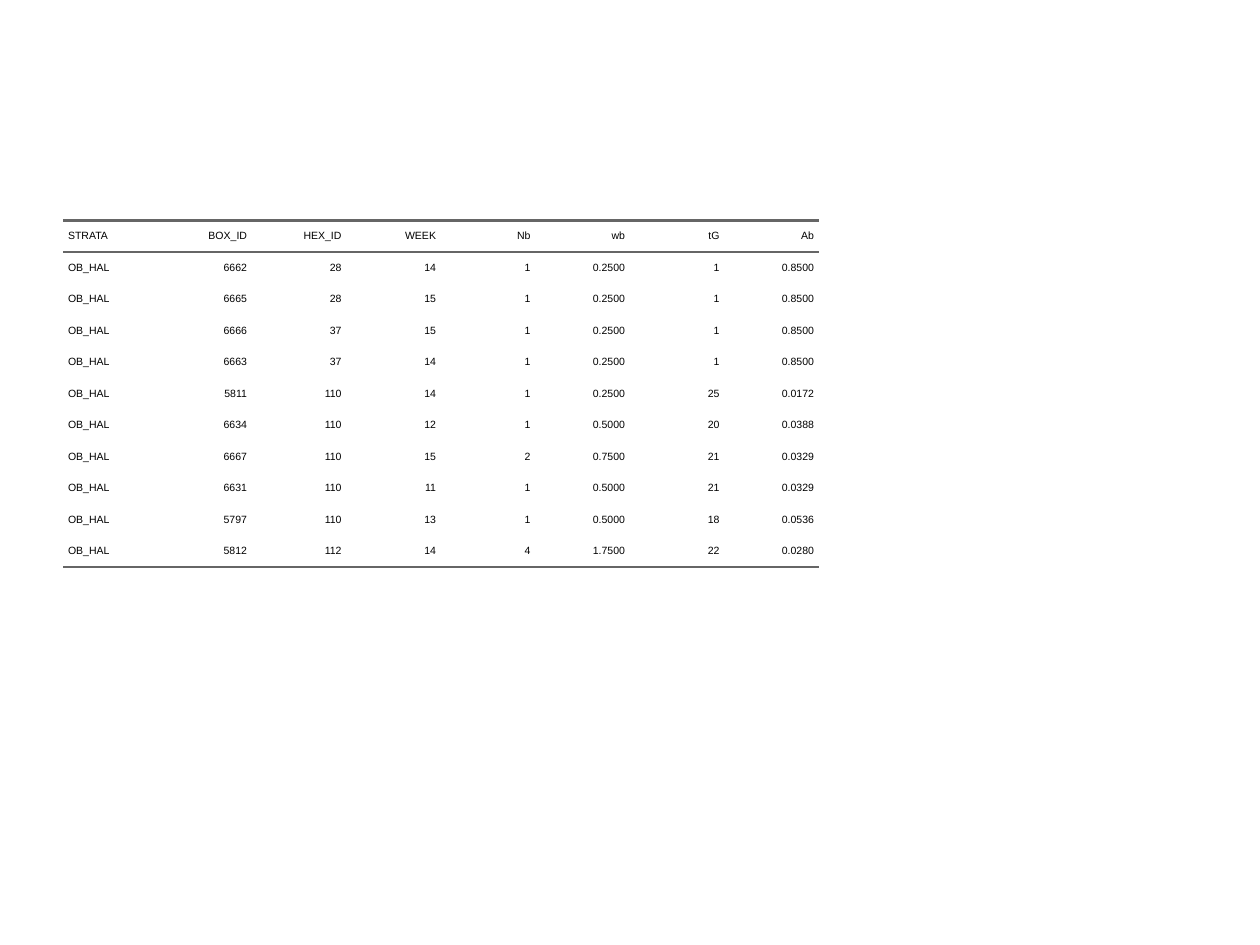
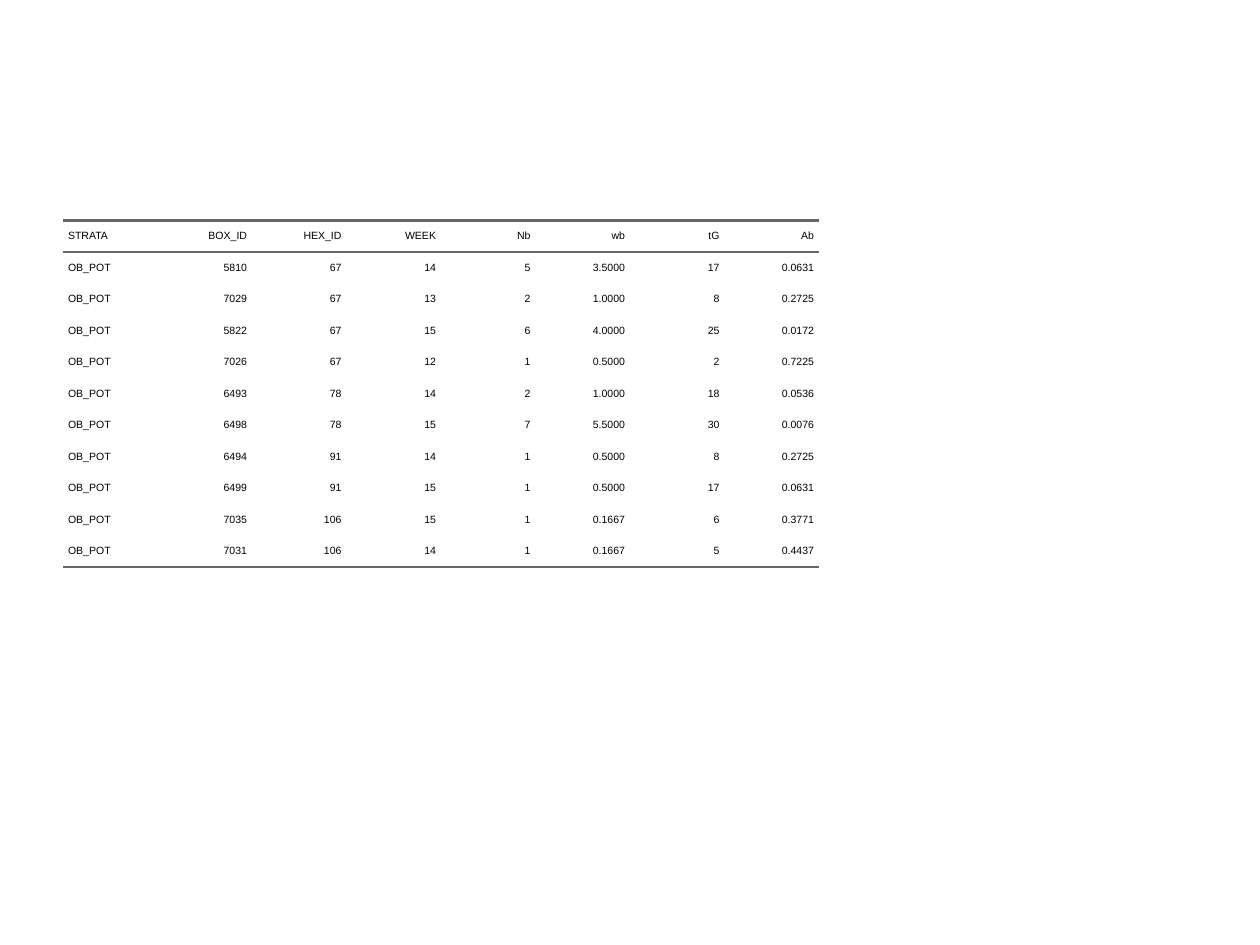
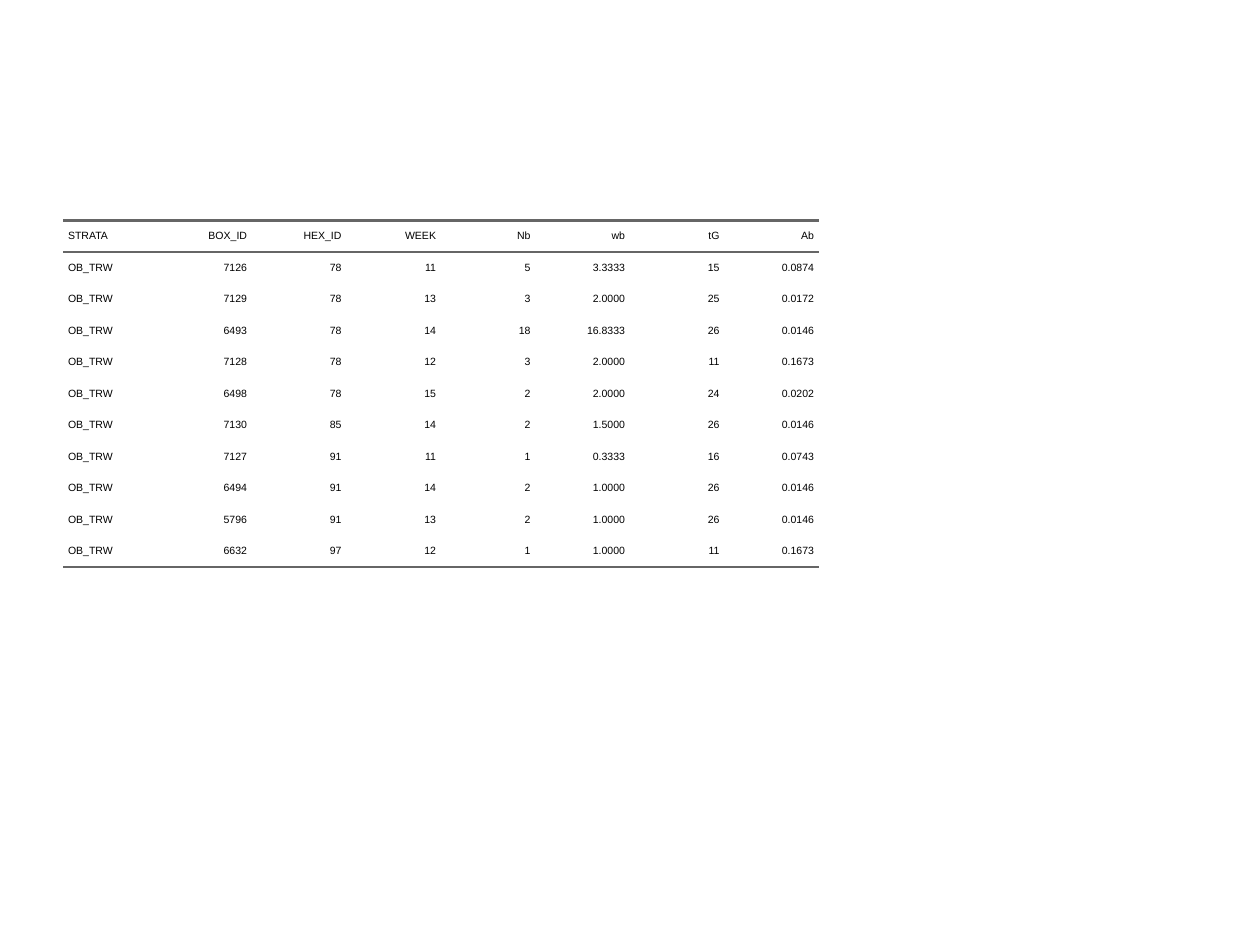
from lxml import etree
from pptx import Presentation
from pptx.dml.color import RGBColor
from pptx.enum.text import MSO_ANCHOR, PP_ALIGN
from pptx.oxml.ns import qn
from pptx.util import Inches, Pt

LEFT, RIGHT = PP_ALIGN.LEFT, PP_ALIGN.RIGHT
MIDDLE = MSO_ANCHOR.MIDDLE

BLACK = RGBColor(0x00, 0x00, 0x00)
GREY = RGBColor(0x66, 0x66, 0x66)
FONT = "Arial"
FONT_SIZE = Pt(6)
RULE_WIDTH = Pt(1.5)
COL_WIDTH = Inches(0.75)
ROW_HEIGHT = Inches(0.25)
CELL_INDENT = Inches(0.04)
NO_STYLE_NO_GRID = "{2D5ABB26-0587-4C30-8999-92F81FD0307C}"

HEADER = ["STRATA", "BOX_ID", "HEX_ID", "WEEK", "Nb", "wb", "tG", "Ab"]

# One line per box: BOX_ID, HEX_ID, WEEK, Nb, wb, tG, Ab
STRATA = {
    "OB_HAL": """
        6662 28 14 1 0.2500 1 0.8500
        6665 28 15 1 0.2500 1 0.8500
        6666 37 15 1 0.2500 1 0.8500
        6663 37 14 1 0.2500 1 0.8500
        5811 110 14 1 0.2500 25 0.0172
        6634 110 12 1 0.5000 20 0.0388
        6667 110 15 2 0.7500 21 0.0329
        6631 110 11 1 0.5000 21 0.0329
        5797 110 13 1 0.5000 18 0.0536
        5812 112 14 4 1.7500 22 0.0280""",
    "OB_POT": """
        5810 67 14 5 3.5000 17 0.0631
        7029 67 13 2 1.0000 8 0.2725
        5822 67 15 6 4.0000 25 0.0172
        7026 67 12 1 0.5000 2 0.7225
        6493 78 14 2 1.0000 18 0.0536
        6498 78 15 7 5.5000 30 0.0076
        6494 91 14 1 0.5000 8 0.2725
        6499 91 15 1 0.5000 17 0.0631
        7035 106 15 1 0.1667 6 0.3771
        7031 106 14 1 0.1667 5 0.4437""",
    "OB_TRW": """
        7126 78 11 5 3.3333 15 0.0874
        7129 78 13 3 2.0000 25 0.0172
        6493 78 14 18 16.8333 26 0.0146
        7128 78 12 3 2.0000 11 0.1673
        6498 78 15 2 2.0000 24 0.0202
        7130 85 14 2 1.5000 26 0.0146
        7127 91 11 1 0.3333 16 0.0743
        6494 91 14 2 1.0000 26 0.0146
        5796 91 13 2 1.0000 26 0.0146
        6632 97 12 1 1.0000 11 0.1673""",
}


def add_rule(cell, side):
    """Draw a grey border on one side of a cell: lnT or lnB."""
    ln = etree.SubElement(cell._tc.get_or_add_tcPr(), qn(f"a:{side}"), w=str(RULE_WIDTH))
    fill = etree.SubElement(ln, qn("a:solidFill"))
    etree.SubElement(fill, qn("a:srgbClr"), val=str(GREY))


def fill_cell(cell, text, align):
    cell.fill.background()
    cell.vertical_anchor = MIDDLE
    cell.margin_left = cell.margin_right = cell.margin_top = cell.margin_bottom = 0
    p = cell.text_frame.paragraphs[0]
    p.alignment = align
    pPr = p._p.get_or_add_pPr()
    pPr.set("marL", str(CELL_INDENT))
    pPr.set("marR", str(CELL_INDENT))
    r = p.add_run()
    r.text = text
    r.font.name = FONT
    r.font.size = FONT_SIZE
    r.font.color.rgb = BLACK


prs = Presentation()
prs.slide_width, prs.slide_height = Inches(10), Inches(7.5)
blank = prs.slide_layouts[6]

for stratum, boxes in STRATA.items():
    rows = [HEADER] + [[stratum] + line.split() for line in boxes.strip().splitlines()]
    s = prs.slides.add_slide(blank)
    frame = s.shapes.add_table(len(rows), len(HEADER), Inches(0.5), Inches(1.75),
                               Inches(9), Inches(4.95))
    table = frame.table
    table.first_row = table.horz_banding = False
    table._tbl.tblPr.find(qn("a:tableStyleId")).text = NO_STYLE_NO_GRID
    for column in table.columns:
        column.width = COL_WIDTH
    for row in table.rows:
        row.height = ROW_HEIGHT
    # The frame keeps the content area's size; the grid fills only part of it.
    frame.width, frame.height = Inches(9), Inches(4.95)

    for i, values in enumerate(rows):
        for j, value in enumerate(values):
            cell = table.cell(i, j)
            if i == 0:
                add_rule(cell, "lnT")
            if i in (0, len(rows) - 1):
                add_rule(cell, "lnB")
            fill_cell(cell, value, LEFT if j == 0 else RIGHT)

prs.save("out.pptx")
